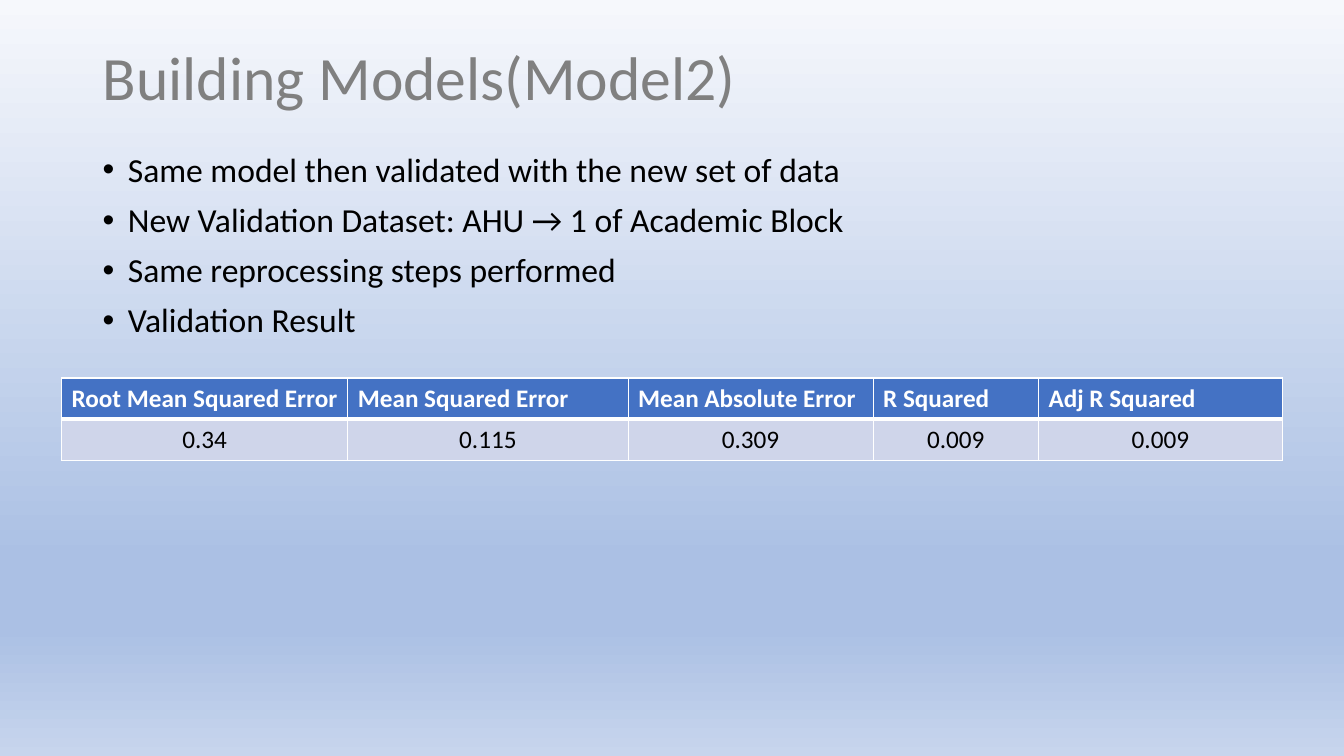
import pptx
import pptx.util
import pptx.dml.color
import pptx.enum.text
import pptx.oxml
import pptx.oxml.ns
import lxml.etree

Inches = pptx.util.Inches
Pt = pptx.util.Pt
ALIGN = pptx.enum.text.PP_ALIGN
NAMESPACE = pptx.oxml.ns.nsdecls("a")


def color(hex_string):
    return pptx.dml.color.RGBColor.from_string(hex_string)


def write(frame, lines, size, hex_string, bold=False, align=ALIGN.LEFT,
          line_spacing=1.0, space_before=0, bullet=None):
    """Fill a text frame with one paragraph per line."""
    frame.word_wrap = True
    for index, line in enumerate(lines):
        paragraph = frame.paragraphs[0] if index == 0 else frame.add_paragraph()
        paragraph.alignment = align
        paragraph.line_spacing = line_spacing
        paragraph.space_before = Pt(space_before)
        run = paragraph.add_run()
        run.text = line
        run.font.name = "Calibri"
        run.font.size = Pt(size)
        run.font.bold = bold
        run.font.color.rgb = color(hex_string)
        if bullet:
            properties = paragraph._p.get_or_add_pPr()
            properties.set("marL", str(Inches(0.25)))
            properties.set("indent", str(Inches(-0.25)))
            properties.append(pptx.oxml.parse_xml(
                f'<a:buFont {NAMESPACE} typeface="Arial"/>'))
            properties.append(pptx.oxml.parse_xml(
                f'<a:buChar {NAMESPACE} char="{bullet}"/>'))


presentation = pptx.Presentation()
presentation.slide_width = Inches(13.33)
presentation.slide_height = Inches(7.5)
slide = presentation.slides.add_slide(presentation.slide_layouts[6])

# Background gradient, running from top to bottom
background = slide.background.fill
background.gradient()
background.gradient_angle = 270
stop_list = slide.background._cSld.find(".//" + pptx.oxml.ns.qn("a:gsLst"))
for stop in list(stop_list):
    stop_list.remove(stop)
for percent, hex_string in [(0, "F6F8FC"), (74, "ABC0E4"), (83, "ABC0E4"), (100, "C7D5ED")]:
    stop_list.append(pptx.oxml.parse_xml(
        f'<a:gs {NAMESPACE} pos="{percent * 1000}"><a:srgbClr val="{hex_string}"/></a:gs>'))

# Title and bullets
title = slide.shapes.add_textbox(Inches(0.92), Inches(0.4), Inches(11.5), Inches(0.8))
title.text_frame.vertical_anchor = pptx.enum.text.MSO_ANCHOR.MIDDLE
write(title.text_frame, ["Building Models(Model2)"], 44, "808080", line_spacing=0.9)

body = slide.shapes.add_textbox(Inches(0.92), Inches(1.47), Inches(11.5), Inches(4.76))
write(body.text_frame, [
    "Same model then validated with the new set of data",
    "New Validation Dataset: AHU → 1 of Academic Block",
    "Same reprocessing steps performed",
    "Validation Result",
], 24, "000000", line_spacing=0.9, space_before=10, bullet="•")

# Validation results: metric, value, column width
results = [
    ("Root Mean Squared Error", "0.34", 2.84),
    ("Mean Squared Error", "0.115", 2.78),
    ("Mean Absolute Error", "0.309", 2.43),
    ("R Squared", "0.009", 1.64),
    ("Adj R Squared", "0.009", 2.42),
]
table = slide.shapes.add_table(2, len(results), Inches(0.61), Inches(3.75),
                               Inches(12.11), Inches(0.82)).table
for column, (metric, value, width) in enumerate(results):
    table.columns[column].width = Inches(width)
    header, result = table.cell(0, column), table.cell(1, column)
    write(header.text_frame, [metric], 18, "FFFFFF", bold=True)
    write(result.text_frame, [value], 18, "000000", align=ALIGN.CENTER)
    for cell, fill, top, bottom in [(header, "4472C4", 1, 3), (result, "CFD5EA", 3, 1)]:
        properties = cell._tc.get_or_add_tcPr()
        for side, points in [("L", 1), ("R", 1), ("T", top), ("B", bottom)]:
            properties.append(pptx.oxml.parse_xml(
                f'<a:ln{side} {NAMESPACE} w="{Pt(points)}"><a:solidFill>'
                f'<a:srgbClr val="FFFFFF"/></a:solidFill></a:ln{side}>'))
        cell.fill.solid()
        cell.fill.fore_color.rgb = color(fill)

presentation.save("out.pptx")
